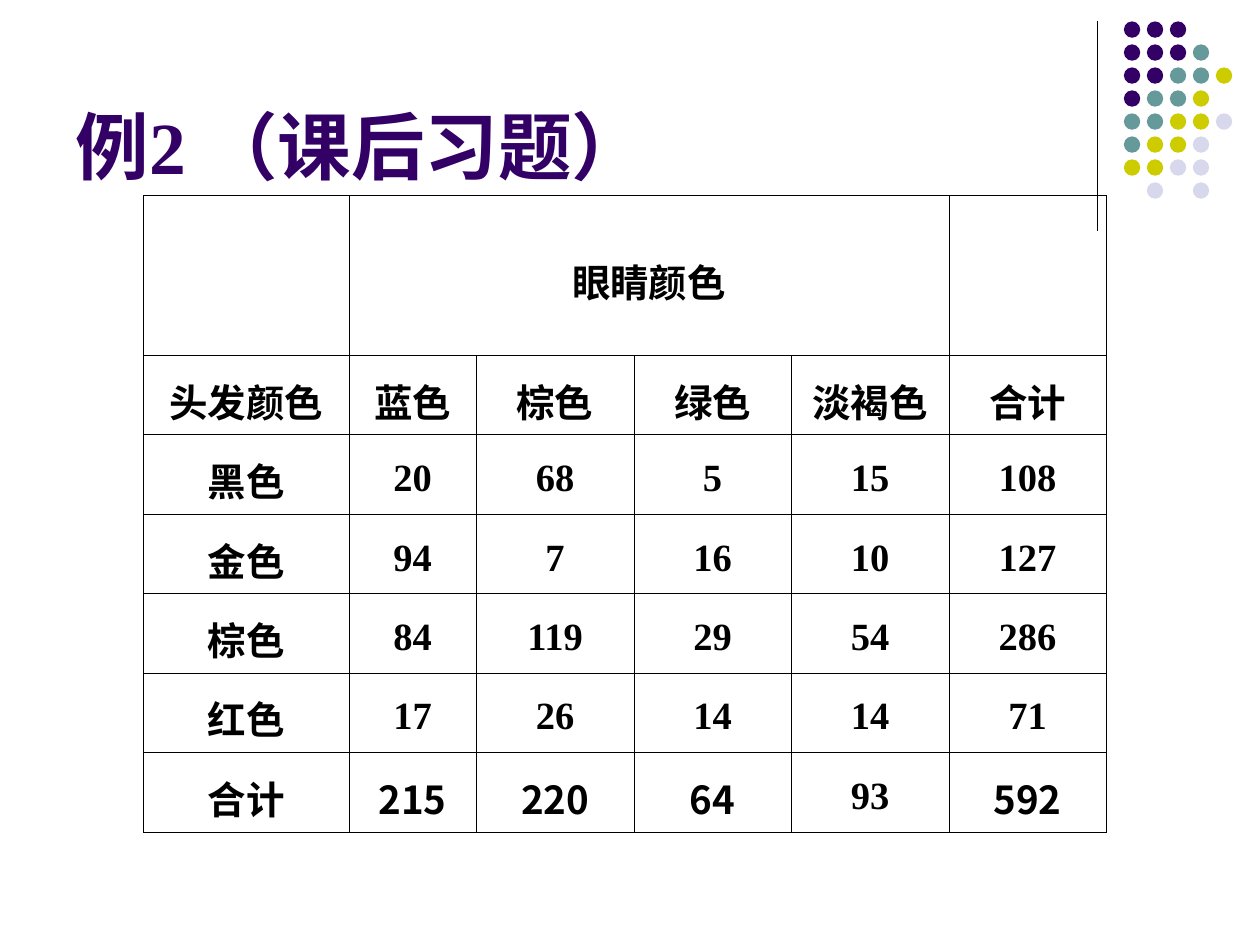
from lxml.etree import SubElement
from pptx import Presentation
from pptx.dml.color import RGBColor
from pptx.enum.shapes import MSO_CONNECTOR, MSO_SHAPE
from pptx.enum.text import MSO_ANCHOR, MSO_AUTO_SIZE, PP_ALIGN
from pptx.oxml import parse_xml
from pptx.oxml.ns import nsdecls, qn
from pptx.util import Inches, Pt

LATIN, CJK = "Times New Roman", "Noto Sans CJK SC"
BLACK, PURPLE = "000000", "330066"
DOT_COLORS = {"P": PURPLE, "T": "669999", "Y": "CCCC00", "L": "D8D8EC"}
DOT_ROWS = ["PPP", "PPPT", "PPTTY", "PTTY", "TTYYL", "TYYL", "YYLL", " L L"]
DOT_LEFT, DOT_TOP, DOT_SIZE, DOT_PITCH = 8.92, 0.17, 0.13, 0.73 / 4

COLUMN_WIDTHS = [1.63, 1.01] + [1.25] * 4
ROW_HEIGHTS = [1.27] + [0.6] * 6
TABLE_ROWS = [
    ["", "眼睛颜色", "", "", "", ""],
    ["头发颜色", "蓝色", "棕色", "绿色", "淡褐色", "合计"],
    ["黑色", "20", "68", "5", "15", "108"],
    ["金色", "94", "7", "16", "10", "127"],
    ["棕色", "84", "119", "29", "54", "286"],
    ["红色", "17", "26", "14", "14", "71"],
    ["合计", "215", "220", "64", "93", "592"],
]
CJK_NUMBERS = {"215", "220", "64", "592"}


def rgb(color):
    return RGBColor.from_string(color)


def write_text(paragraph, text, size, color, font_name=LATIN):
    run = paragraph.add_run()
    run.text = text
    run.font.color.rgb = rgb(color)
    for name, value in {"size": Pt(size), "bold": True, "name": font_name}.items():
        setattr(run.font, name, value)
    SubElement(run.font._element, qn("a:ea"), typeface=CJK)


def add_title(slide, text):
    title = slide.shapes.title
    box = {"left": 0.5, "top": 0.13, "width": 8.25, "height": 1.42}
    for name, value in box.items():
        setattr(title, name, Inches(value))
    frame = title.text_frame
    frame.auto_size = MSO_AUTO_SIZE.NONE
    frame.vertical_anchor = MSO_ANCHOR.BOTTOM
    paragraph = frame.paragraphs[0]
    paragraph.alignment = PP_ALIGN.LEFT
    write_text(paragraph, text, 42, PURPLE)


def add_divider(slide):
    x = Inches(8.71)
    line = slide.shapes.add_connector(
        MSO_CONNECTOR.STRAIGHT, x, Inches(0.17), x, Inches(1.83))
    line.line.color.rgb = rgb(BLACK)
    line.line.width = Pt(0.75)
    SubElement(line._element.spPr, qn("a:effectLst"))


def add_dots(slide):
    for row, codes in enumerate(DOT_ROWS):
        for column, code in enumerate(codes):
            if code == " ":
                continue
            dot = slide.shapes.add_shape(
                MSO_SHAPE.OVAL,
                Inches(DOT_LEFT + column * DOT_PITCH),
                Inches(DOT_TOP + row * DOT_PITCH),
                Inches(DOT_SIZE), Inches(DOT_SIZE))
            dot.shadow.inherit = False
            dot.fill.solid()
            dot.fill.fore_color.rgb = rgb(DOT_COLORS[code])
            dot.line.fill.background()


def set_borders(cell, width):
    properties = cell._tc.get_or_add_tcPr()
    for index, side in enumerate("LRTB"):
        properties.insert(index, parse_xml(
            f'<a:ln{side} {nsdecls("a")} w="{Pt(width)}"><a:solidFill>'
            f'<a:srgbClr val="{BLACK}"/></a:solidFill></a:ln{side}>'))


def add_color_table(slide):
    frame = slide.shapes.add_table(
        len(ROW_HEIGHTS), len(COLUMN_WIDTHS), Inches(1.14), Inches(1.55),
        Inches(sum(COLUMN_WIDTHS)), Inches(sum(ROW_HEIGHTS)))
    table = frame.table
    table.first_row = table.horz_banding = False
    for column, width in zip(table.columns, COLUMN_WIDTHS):
        column.width = Inches(width)
    for row, height in zip(table.rows, ROW_HEIGHTS):
        row.height = Inches(height)
    table.cell(0, 1).merge(table.cell(0, 4))

    for row, texts in zip(table.rows, TABLE_ROWS):
        for cell, text in zip(row.cells, texts):
            cell.fill.background()
            set_borders(cell, 0.34)
            cell.vertical_anchor = MSO_ANCHOR.MIDDLE
            if text:
                paragraph = cell.text_frame.paragraphs[0]
                paragraph.alignment = PP_ALIGN.CENTER
                paragraph.line_spacing = 1.2
                font_name = CJK if text in CJK_NUMBERS else LATIN
                write_text(paragraph, text, 22, BLACK, font_name)


def main():
    presentation = Presentation()
    presentation.slide_width = Inches(10)
    presentation.slide_height = Inches(7.5)
    slide = presentation.slides.add_slide(presentation.slide_layouts[5])
    add_divider(slide)
    add_dots(slide)
    add_title(slide, "例2 （课后习题）")
    add_color_table(slide)
    presentation.save("out.pptx")


if __name__ == "__main__":
    main()
